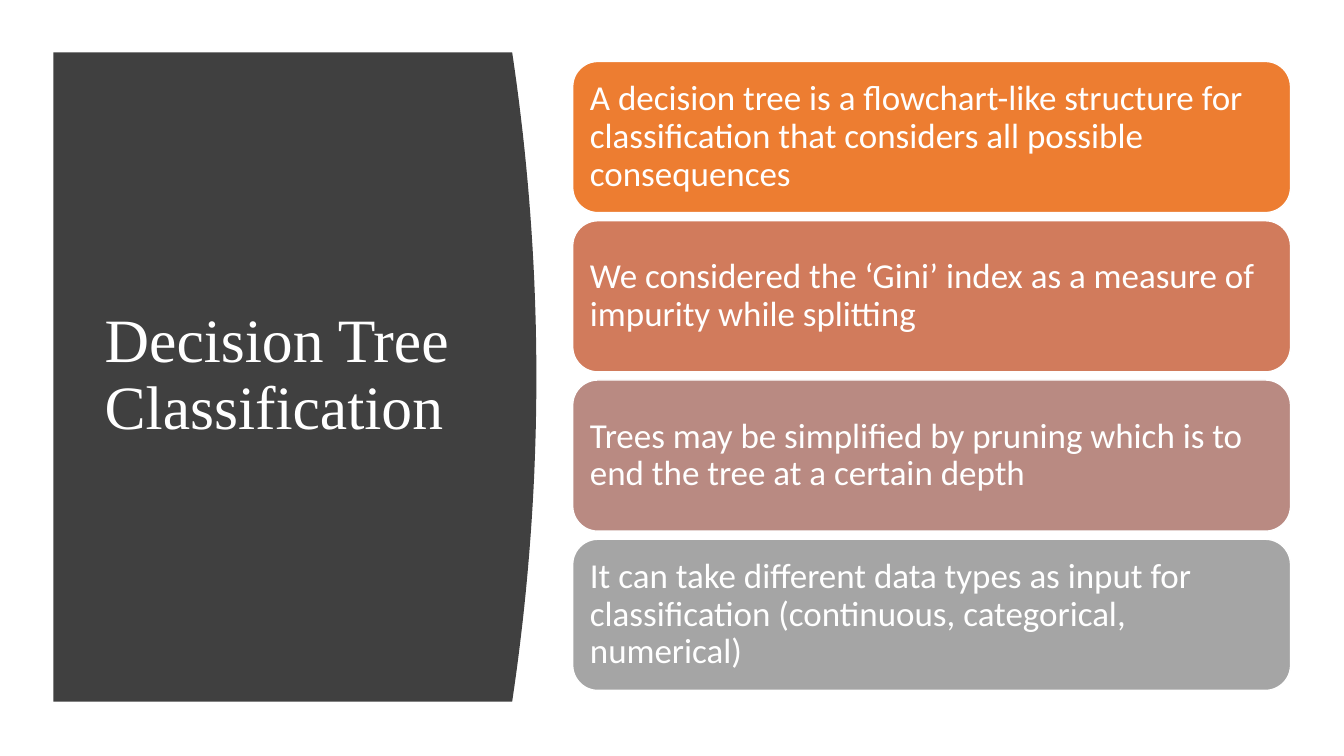
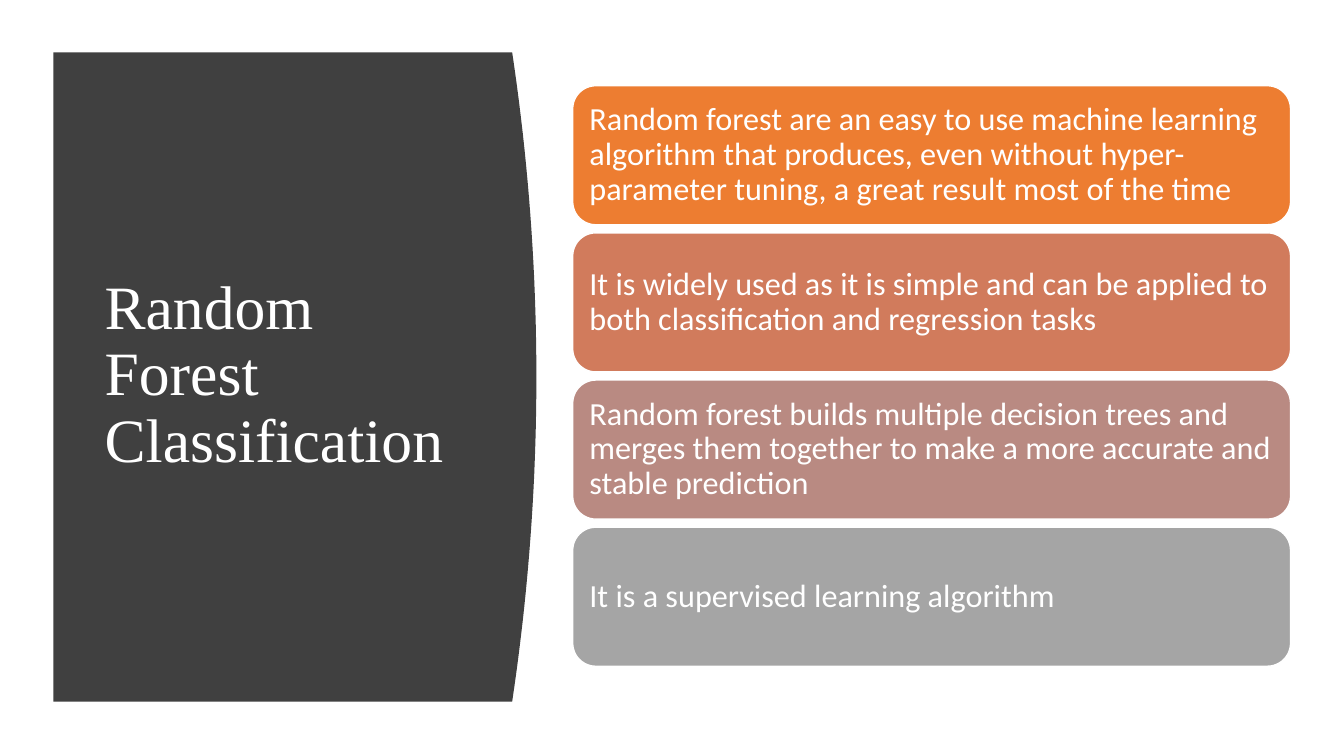
import pptx
import pptx.dml.color
import pptx.enum.shapes
import pptx.enum.text
import pptx.util

Inches = pptx.util.Inches
Pt = pptx.util.Pt

# Shared look
WHITE = "FFFFFF"
PANEL_COLOR = "404040"
CARD_COLORS = ["ED7D31", "D17B5C", "B98A82", "A5A5A5"]
TITLE_FONT, TITLE_SIZE = "Times New Roman", 44
CARD_FONT = "Calibri"

# Shared geometry, in inches
PANEL_LEFT, PANEL_RIGHT = 0.53, 5.08
PANEL_TOP, PANEL_BOTTOM = 0.52, 6.96
BULGE, CURVE_STEPS = 0.24, 40
CARD_LEFT, CARD_WIDTH, CARD_GAP = 5.68, 7.12, 0.08
STACK_MIDDLE = 3.73

# Title, card height, card text size, card texts
SLIDES = [
    ("Decision Tree Classification", 1.5, 25, [
        "A decision tree is a flowchart-like structure for classification "
        "that considers all possible consequences",
        "We considered the ‘Gini’ index as a measure of impurity while splitting",
        "Trees may be simplified by pruning which is to end the tree at a certain depth",
        "It can take different data types as input for classification "
        "(continuous, categorical, numerical)",
    ]),
    ("Random Forest Classification", 1.38, 23, [
        "Random forest are an easy to use machine learning algorithm that produces, "
        "even without hyper-parameter tuning, a great result most of the time",
        "It is widely used as it is simple and can be applied to both "
        "classification and regression tasks",
        "Random forest builds multiple decision trees and merges them together "
        "to make a more accurate and stable prediction",
        "It is a supervised learning algorithm",
    ]),
]


def rgb(hex_color):
    return pptx.dml.color.RGBColor.from_string(hex_color)


def paint(shape, fill):
    shape.shadow.inherit = False
    shape.fill.solid()
    shape.fill.fore_color.rgb = rgb(fill)


def set_text(shape, text, font, size):
    """Write left-aligned white text, centred vertically."""
    frame = shape.text_frame
    frame.text = text
    frame.word_wrap = True
    frame.vertical_anchor = pptx.enum.text.MSO_ANCHOR.MIDDLE
    paragraph = frame.paragraphs[0]
    paragraph.alignment = pptx.enum.text.PP_ALIGN.LEFT
    paragraph.line_spacing = 0.9
    run_font = paragraph.runs[0].font
    run_font.name = font
    run_font.size = Pt(size)
    run_font.color.rgb = rgb(WHITE)


def add_panel(slide):
    """Dark panel whose right edge bows outward as a parabola."""
    middle = (PANEL_TOP + PANEL_BOTTOM) / 2
    half = (PANEL_BOTTOM - PANEL_TOP) / 2
    edge = []
    for step in range(CURVE_STEPS + 1):
        offset = 2 * step / CURVE_STEPS - 1
        edge.append((Inches(PANEL_RIGHT + BULGE * (1 - offset ** 2)),
                     Inches(middle + half * offset)))
    outline = slide.shapes.build_freeform(Inches(PANEL_LEFT), Inches(PANEL_TOP))
    outline.add_line_segments(edge + [(Inches(PANEL_LEFT), Inches(PANEL_BOTTOM))])
    panel = outline.convert_to_shape()
    paint(panel, PANEL_COLOR)
    panel.line.fill.background()


def add_title(slide, text):
    title = slide.shapes.add_textbox(Inches(0.94), Inches(1.11), Inches(3.74), Inches(5.24))
    set_text(title, text, TITLE_FONT, TITLE_SIZE)


def add_card(slide, text, top, height, size, color):
    card = slide.shapes.add_shape(
        pptx.enum.shapes.MSO_SHAPE.ROUNDED_RECTANGLE,
        Inches(CARD_LEFT), Inches(top), Inches(CARD_WIDTH), Inches(height))
    paint(card, color)
    card.line.color.rgb = rgb(WHITE)
    card.line.width = Pt(1)
    set_text(card, text, CARD_FONT, size)
    frame = card.text_frame
    frame.margin_left = frame.margin_right = Inches(0.1)
    frame.margin_top = frame.margin_bottom = Inches(0.1)


def add_card_stack(slide, texts, height, size):
    """Equal cards, centred as a column on STACK_MIDDLE."""
    pitch = height + CARD_GAP
    first_top = STACK_MIDDLE - (len(texts) * pitch - CARD_GAP) / 2
    for index, (text, color) in enumerate(zip(texts, CARD_COLORS)):
        add_card(slide, text, first_top + index * pitch, height, size, color)


def main():
    deck = pptx.Presentation()
    deck.slide_width, deck.slide_height = Inches(13.33), Inches(7.5)
    blank = deck.slide_layouts[6]
    for title, card_height, text_size, texts in SLIDES:
        slide = deck.slides.add_slide(blank)
        add_panel(slide)
        add_title(slide, title)
        add_card_stack(slide, texts, card_height, text_size)
    deck.save("out.pptx")


if __name__ == "__main__":
    main()
